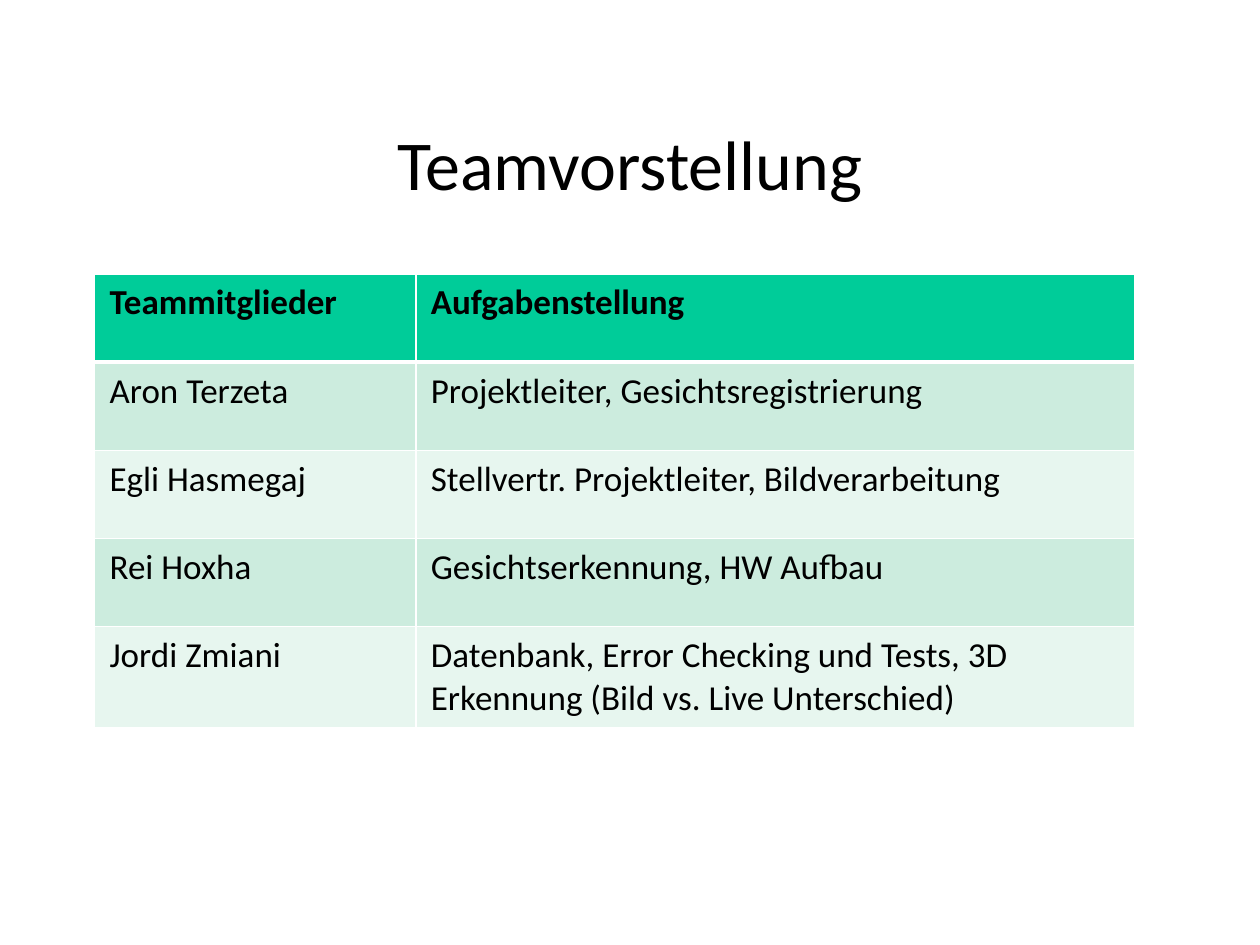
from pptx import Presentation
from pptx.dml.color import RGBColor as RGB
from pptx.enum.text import MSO_ANCHOR as Anchor, PP_ALIGN as Align
from pptx.oxml import parse_xml
from pptx.oxml.ns import nsdecls
from pptx.util import Pt

COLORS = {"text": "000000", "line": "FFFFFF", "head": "00CC99",
          "odd": "CCECDE", "even": "E7F6EF"}
ROWS = [
    ("Teammitglieder", "Aufgabenstellung"),
    ("Aron Terzeta", "Projektleiter, Gesichtsregistrierung"),
    ("Egli Hasmegaj", "Stellvertr. Projektleiter, Bildverarbeitung"),
    ("Rei Hoxha", "Gesichtserkennung, HW Aufbau"),
    ("Jordi Zmiani", "Datenbank, Error Checking und Tests, "
                     "3D Erkennung (Bild vs. Live Unterschied)"),
]
WIDTHS = [183.6, 411.1]
HEIGHT = 50.4


def style(para, size, bold=False):
    font = para.font
    font.name, font.size, font.bold = "Calibri", Pt(size), bold
    font.color.rgb = RGB.from_string(COLORS["text"])


def border(cell, side, width):
    cell._tc.get_or_add_tcPr().append(parse_xml(
        f'<a:ln{side} {nsdecls("a")} w="{Pt(width)}"><a:solidFill>'
        f'<a:srgbClr val="{COLORS["line"]}"/></a:solidFill></a:ln{side}>'))


prs = Presentation()
prs.slide_width, prs.slide_height = Pt(720), Pt(540)
slide = prs.slides.add_slide(prs.slide_layouts[5])

title = slide.shapes.title
title.left, title.top, title.width, title.height = Pt(54), Pt(48), Pt(612), Pt(90)
frame = title.text_frame
frame.text = "Teamvorstellung"
frame.vertical_anchor = Anchor.MIDDLE
frame.paragraphs[0].alignment = Align.CENTER
style(frame.paragraphs[0], 40)

table = slide.shapes.add_table(len(ROWS), len(WIDTHS), Pt(54), Pt(156.5),
                               Pt(sum(WIDTHS)), Pt(HEIGHT * len(ROWS))).table
for col, width in zip(table.columns, WIDTHS):
    col.width = Pt(width)

for r, texts in enumerate(ROWS):
    table.rows[r].height = Pt(HEIGHT)
    tone = "head" if r == 0 else "odd" if r % 2 else "even"
    for c, text in enumerate(texts):
        cell = table.cell(r, c)
        cell.text = text
        cell.margin_left = cell.margin_right = Pt(8.64)
        cell.margin_top = cell.margin_bottom = Pt(4.32)
        style(cell.text_frame.paragraphs[0], 20, r == 0)
        for side in "LRTB":
            thick = (r, side) in [(0, "B"), (1, "T")]
            border(cell, side, 3 if thick else 1)
        cell.fill.solid()
        cell.fill.fore_color.rgb = RGB.from_string(COLORS[tone])

prs.save("out.pptx")
